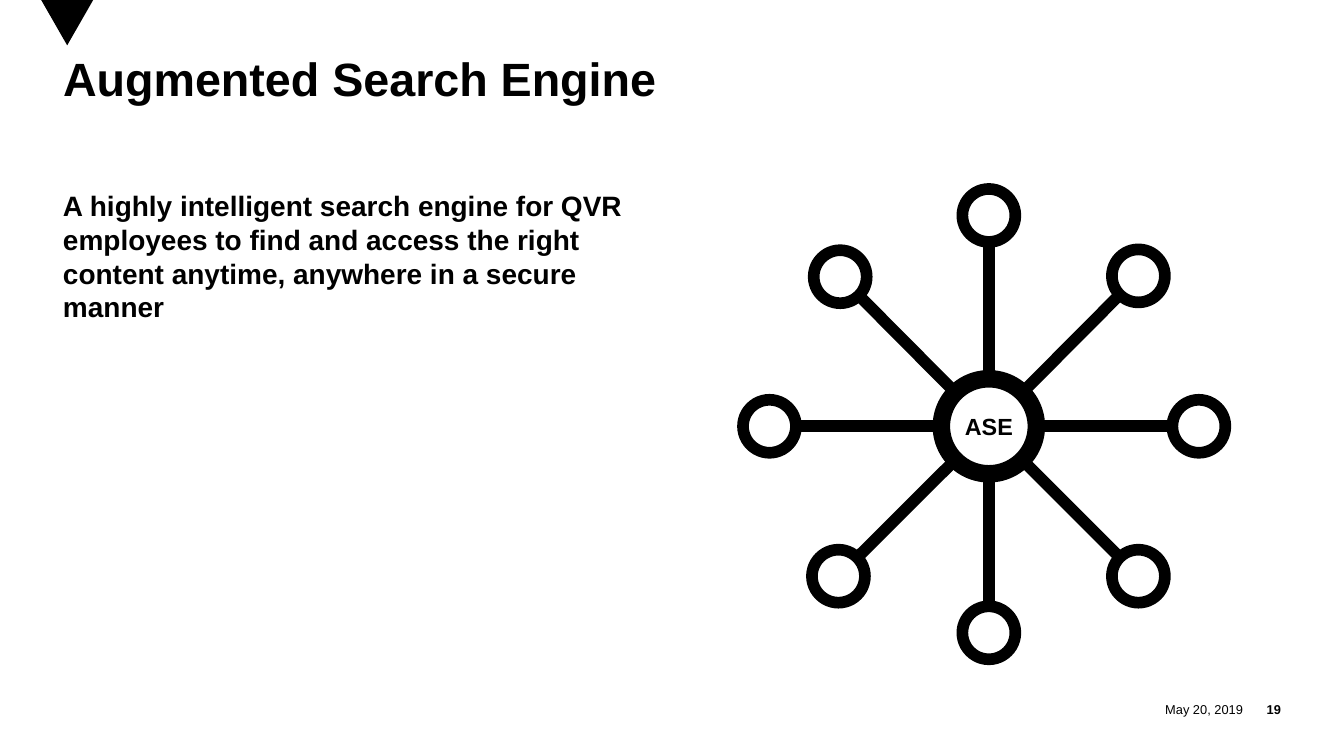
"""Build the Augmented Search Engine slide."""
from math import hypot

from pptx import Presentation
from pptx.dml.color import RGBColor
from pptx.enum.shapes import MSO_CONNECTOR, MSO_SHAPE
from pptx.enum.text import MSO_ANCHOR, MSO_AUTO_SIZE, PP_ALIGN
from pptx.oxml.ns import qn
from pptx.util import Pt
from lxml import etree

LEFT, CENTER, RIGHT = PP_ALIGN.LEFT, PP_ALIGN.CENTER, PP_ALIGN.RIGHT
TOP, MIDDLE = MSO_ANCHOR.TOP, MSO_ANCHOR.MIDDLE
NO_AUTOFIT = MSO_AUTO_SIZE.NONE
OVAL, STRAIGHT = MSO_SHAPE.OVAL, MSO_CONNECTOR.STRAIGHT

BLACK, WHITE = "000000", "FFFFFF"
FONT = "Arial"
MARGIN = 54
HUB_X, HUB_Y, HUB_R = 847.6, 365.4, 40.7
NODE_R = 22.7
NODE_OFFSETS = [(0, -180.7), (128.2, -128.9), (180, 0), (128.2, 128.5),
                (0, 177), (-188, 0), (-127.4, -128.2), (-128.9, 128.5)]


def rgb(value):
    """Turn a hex string into a colour."""
    return RGBColor.from_string(value)


def set_text(s, text, size, bold=False, align=LEFT, anchor=TOP, wrap=True):
    """Fill a shape with one formatted paragraph without insets."""
    tf = s.text_frame
    tf.text = text
    tf.word_wrap = wrap
    tf.auto_size = NO_AUTOFIT
    tf.vertical_anchor = anchor
    tf.margin_left = tf.margin_right = tf.margin_top = tf.margin_bottom = 0
    p = tf.paragraphs[0]
    p.alignment = align
    font = p.runs[0].font
    font.name, font.size, font.bold = FONT, Pt(size), bold
    font.color.rgb = rgb(BLACK)
    return p


def add_title(slide, text):
    """Place and format the title placeholder."""
    s = slide.shapes.title
    s.left, s.top, s.width, s.height = Pt(MARGIN), Pt(50.4), Pt(1044), Pt(111.6)
    set_text(s, text, 40, bold=True).line_spacing = 0.85


def add_text(slide, x, y, w, h, text, size, **style):
    """Add a text box."""
    s = slide.shapes.add_textbox(Pt(x), Pt(y), Pt(w), Pt(h))
    set_text(s, text, size, **style)


def add_corner_triangle(slide):
    """Add the black triangle that hangs from the top edge."""
    builder = slide.shapes.build_freeform(Pt(35.3), 0)
    builder.add_line_segments([(Pt(57.6), Pt(38.9)), (Pt(79.9), 0)])
    s = builder.convert_to_shape()
    s.shadow.inherit = False
    s.fill.solid()
    s.fill.fore_color.rgb = rgb(BLACK)
    s.line.fill.background()


def add_ring(slide, x, y, radius, width):
    """Add a white circle with a black outline around a centre."""
    s = slide.shapes.add_shape(OVAL, Pt(x - radius), Pt(y - radius),
                               Pt(2 * radius), Pt(2 * radius))
    s.shadow.inherit = False
    s.fill.solid()
    s.fill.fore_color.rgb = rgb(WHITE)
    s.line.color.rgb = rgb(BLACK)
    s.line.width = Pt(width)
    return s


def add_spoke(slide, dx, dy):
    """Join the hub's edge to the edge of the node at an offset."""
    length = hypot(dx, dy)
    start, end = HUB_R / length, 1 - NODE_R / length
    s = slide.shapes.add_connector(
        STRAIGHT, Pt(HUB_X + dx * start), Pt(HUB_Y + dy * start),
        Pt(HUB_X + dx * end), Pt(HUB_Y + dy * end))
    s.line.color.rgb = rgb(BLACK)
    s.line.width = Pt(10)
    etree.SubElement(s._element.spPr, qn("a:effectLst"))


def add_network(slide):
    """Add the labelled hub with its spokes and nodes."""
    hub = add_ring(slide, HUB_X, HUB_Y, HUB_R, 15)
    set_text(hub, "ASE", 20, bold=True, align=CENTER, anchor=MIDDLE, wrap=False)
    for dx, dy in NODE_OFFSETS:
        add_ring(slide, HUB_X + dx, HUB_Y + dy, NODE_R, 10)
        add_spoke(slide, dx, dy)


def main():
    """Build and save the slide."""
    prs = Presentation()
    prs.slide_width, prs.slide_height = Pt(1152), Pt(648)
    slide = prs.slides.add_slide(prs.slide_layouts[5])
    add_corner_triangle(slide)
    add_title(slide, "Augmented Search Engine")
    add_text(slide, MARGIN, 162, 504, 403.2,
             "A highly intelligent search engine for QVR employees to find and "
             "access the right content anytime, anywhere in a secure manner",
             24, bold=True)
    add_network(slide)
    add_text(slide, 936.7, 596.9, 128.9, 21.6, "May 20, 2019", 11,
             align=RIGHT, anchor=MIDDLE)
    add_text(slide, 1065.6, 596.9, 32.4, 21.6, "19", 11, bold=True,
             align=RIGHT, anchor=MIDDLE)
    prs.save("out.pptx")


if __name__ == "__main__":
    main()
